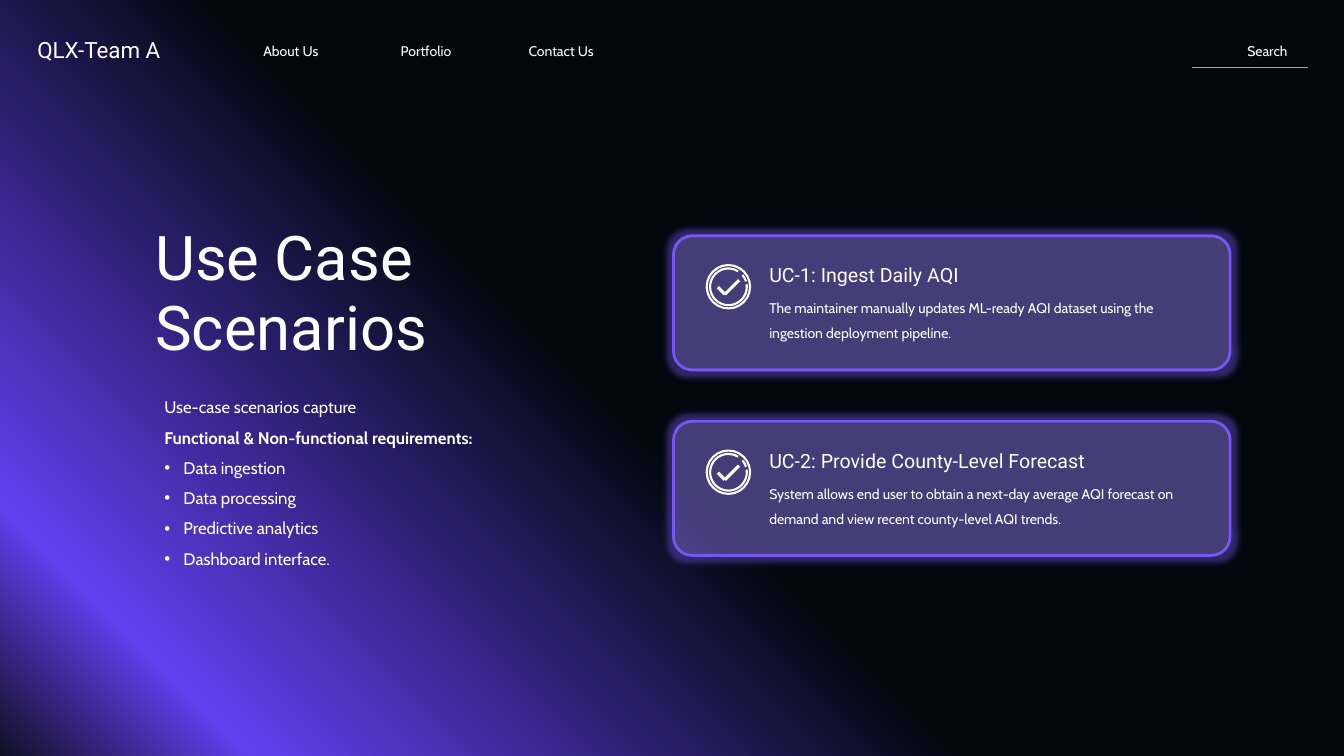
import copy
import math

import pptx
import pptx.dml.color
import pptx.enum.shapes
import pptx.enum.text
import pptx.oxml
import pptx.oxml.ns
import pptx.util
from lxml import etree

PX = 9144
WHITE = "FFFFFF"
VIOLET = "7757F2"
HEAD_FONT = "Roboto"
BODY_FONT = "Cabin"
SHAPE = pptx.enum.shapes.MSO_SHAPE
ALIGN = pptx.enum.text.PP_ALIGN
ANCHOR = pptx.enum.text.MSO_ANCHOR
qn = pptx.oxml.ns.qn


def px(*lengths):
    """Turn pixel lengths (100 to the inch) into EMU."""
    return [round(length * PX) for length in lengths]


def rgb(hex_code):
    return pptx.dml.color.RGBColor.from_string(hex_code)


def paint_background(slide, stops, angle):
    fill = slide.background.fill
    fill.gradient()
    fill.gradient_angle = angle
    stop_list = slide.element.find(".//" + qn("a:gsLst"))
    while len(stop_list) < len(stops):
        stop_list.append(copy.deepcopy(stop_list[0]))
    for stop, (position, hex_code) in zip(fill.gradient_stops, stops):
        stop.position = position
        stop.color.rgb = rgb(hex_code)


def add_bullet(paragraph, indent):
    properties = paragraph._p.get_or_add_pPr()
    hanging = px(indent)[0]
    properties.set("marL", str(hanging))
    properties.set("indent", str(-hanging))
    etree.SubElement(properties, qn("a:buFont")).set("typeface", "Arial")
    etree.SubElement(properties, qn("a:buChar")).set("char", "•")


def add_text(shapes, box, lines, size, font, align=ALIGN.LEFT,
             anchor=ANCHOR.MIDDLE, spacing=None):
    """Write lines of (text, bold, bulleted) into a box without margins."""
    frame = shapes.add_textbox(*px(*box)).text_frame
    frame.word_wrap = True
    frame.auto_size = pptx.enum.text.MSO_AUTO_SIZE.SHAPE_TO_FIT_TEXT
    frame.vertical_anchor = anchor
    frame.margin_left = frame.margin_right = 0
    frame.margin_top = frame.margin_bottom = 0
    for index, (text, bold, bulleted) in enumerate(lines):
        paragraph = frame.paragraphs[0] if index == 0 else frame.add_paragraph()
        paragraph.alignment = align
        if spacing:
            paragraph.line_spacing = spacing
        if bulleted:
            add_bullet(paragraph, 19)
        run = paragraph.add_run()
        run.text = text
        run.font.size = pptx.util.Pt(size)
        run.font.name = font
        run.font.bold = bold
        run.font.color.rgb = rgb(WHITE)


def add_label(shapes, box, text, size, font, **layout):
    add_text(shapes, box, [(text, False, False)], size, font, **layout)


def set_outline(shape, hex_code, width):
    shape.shadow.inherit = False
    shape.line.color.rgb = rgb(hex_code)
    shape.line.width = pptx.util.Pt(width)


def add_stroke(shapes, points, width):
    """Draw an open white line through pixel points."""
    start, *rest = [px(*point) for point in points]
    builder = shapes.build_freeform(*start, scale=1.0)
    builder.add_line_segments(rest, close=False)
    stroke = builder.convert_to_shape()
    stroke.fill.background()
    set_outline(stroke, WHITE, width)
    return stroke


def add_arc(shapes, x, y, radius, angles, width):
    """Draw one smooth curve around x, y through the angles in degrees."""
    def polar(angle, pull=0):
        return (x + radius * (math.cos(angle) - pull * math.sin(angle)),
                y + radius * (math.sin(angle) + pull * math.cos(angle)))

    turns = [math.radians(angle) for angle in angles]
    points = [polar(turns[0])]
    for first, last in zip(turns, turns[1:]):
        pull = 4 / 3 * math.tan((last - first) / 4)
        points += [polar(first, pull), polar(last, -pull), polar(last)]
    arc = add_stroke(shapes, points, width)

    segments = list(arc._element.iter(qn("a:lnTo")))
    for index in range(0, len(segments), 3):
        curve = etree.Element(qn("a:cubicBezTo"))
        segments[index].addprevious(curve)
        for segment in segments[index:index + 3]:
            curve.append(segment[0])
            segment.getparent().remove(segment)


def add_check_icon(shapes, left, top):
    """Draw a tick in a ring and a broken inner ring."""
    size = 43
    ring = shapes.add_shape(SHAPE.OVAL, *px(left, top, size, size))
    ring.fill.background()
    set_outline(ring, WHITE, 1.5)
    for angles in ((-40, -17), (-8, 0, 90, 180, 270, 302)):
        add_arc(shapes, left + size / 2, top + size / 2, 18.2, angles, 1.5)
    for tip_x, tip_y in ((11, 22), (32, 15)):
        add_stroke(shapes, [(left + tip_x, top + tip_y),
                            (left + 18, top + 29)], 2.25)


def add_glow(shape, hex_code, radius, opacity):
    effects = shape._element.spPr.find(qn("a:effectLst"))
    glow = etree.SubElement(effects, qn("a:glow"))
    glow.set("rad", str(px(radius)[0]))
    color = etree.SubElement(glow, qn("a:srgbClr"))
    color.set("val", hex_code)
    etree.SubElement(color, qn("a:alpha")).set("val", str(opacity * 1000))


def add_use_case(slide, x, y, heading, description):
    card = slide.shapes.add_group_shape().shapes
    panel = card.add_shape(SHAPE.ROUNDED_RECTANGLE, *px(x, y, 552, 133))
    panel.adjustments[0] = 0.14
    panel.fill.solid()
    panel.fill.fore_color.rgb = rgb(WHITE)
    tint = panel._element.spPr.find(qn("a:solidFill"))[0]
    etree.SubElement(tint, qn("a:alpha")).set("val", "10000")
    set_outline(panel, VIOLET, 2)
    add_glow(panel, VIOLET, 11, 40)
    add_label(card, (x + 95, y + 27, 436, 24), heading, 14, HEAD_FONT)
    add_label(card, (x + 95, y + 55, 425, 50), description, 10, BODY_FONT,
              anchor=ANCHOR.TOP, spacing=1.5)
    add_check_icon(card, x + 33, y + 29)


def add_search_line(slide):
    line = slide.shapes.add_connector(
        pptx.enum.shapes.MSO_CONNECTOR.STRAIGHT, *px(1182, 67, 1297, 67))
    line.line.color.rgb = rgb("A6A6A6")
    line.line.width = pptx.util.Pt(0.5)
    etree.SubElement(line._element.spPr, qn("a:effectLst"))


def main():
    deck = pptx.Presentation()
    deck.slide_width = pptx.util.Inches(13.33)
    deck.slide_height = pptx.util.Inches(7.5)
    slide = deck.slides.add_slide(deck.slide_layouts[6])
    paint_background(
        slide, [(0.54, "02070D"), (0.88, "633FF0"), (1, "110F25")], 225)

    add_label(slide.shapes, (37, 36, 192, 27), "QLX-Team A", 16, HEAD_FONT)
    for index, item in enumerate(("About Us", "Portfolio", "Contact Us")):
        add_label(slide.shapes, (237 + 134 * index, 42, 103, 17), item, 10,
                  BODY_FONT, align=ALIGN.CENTER)
    add_label(slide.shapes, (1217, 42, 80, 17), "Search", 10, BODY_FONT,
              align=ALIGN.CENTER)
    add_search_line(slide)

    title = slide.shapes.add_group_shape().shapes
    for index, word in enumerate(("Use Case", "Scenarios")):
        add_label(title, (154, 217 + 69 * index, 495, 74), word, 44, HEAD_FONT)

    requirements = ("Data ingestion", "Data processing",
                    "Predictive analytics", "Dashboard interface.")
    summary = [("Use-case scenarios capture", False, False),
               ("Functional & Non-functional requirements:", True, False)]
    summary += [(requirement, False, True) for requirement in requirements]
    add_text(slide.shapes, (163, 384, 387, 182), summary, 12, BODY_FONT,
             anchor=ANCHOR.TOP, spacing=1.5)

    use_cases = (
        ("UC-1: Ingest Daily AQI",
         "The maintainer manually updates ML-ready AQI dataset using the "
         "ingestion deployment pipeline."),
        ("UC-2: Provide County-Level Forecast",
         "System allows end user to obtain a next-day average AQI forecast on "
         "demand and view recent county-level AQI trends."),
    )
    for index, (heading, description) in enumerate(use_cases):
        add_use_case(slide, 668, 234 + 184 * index, heading, description)

    deck.save("out.pptx")


if __name__ == "__main__":
    main()
